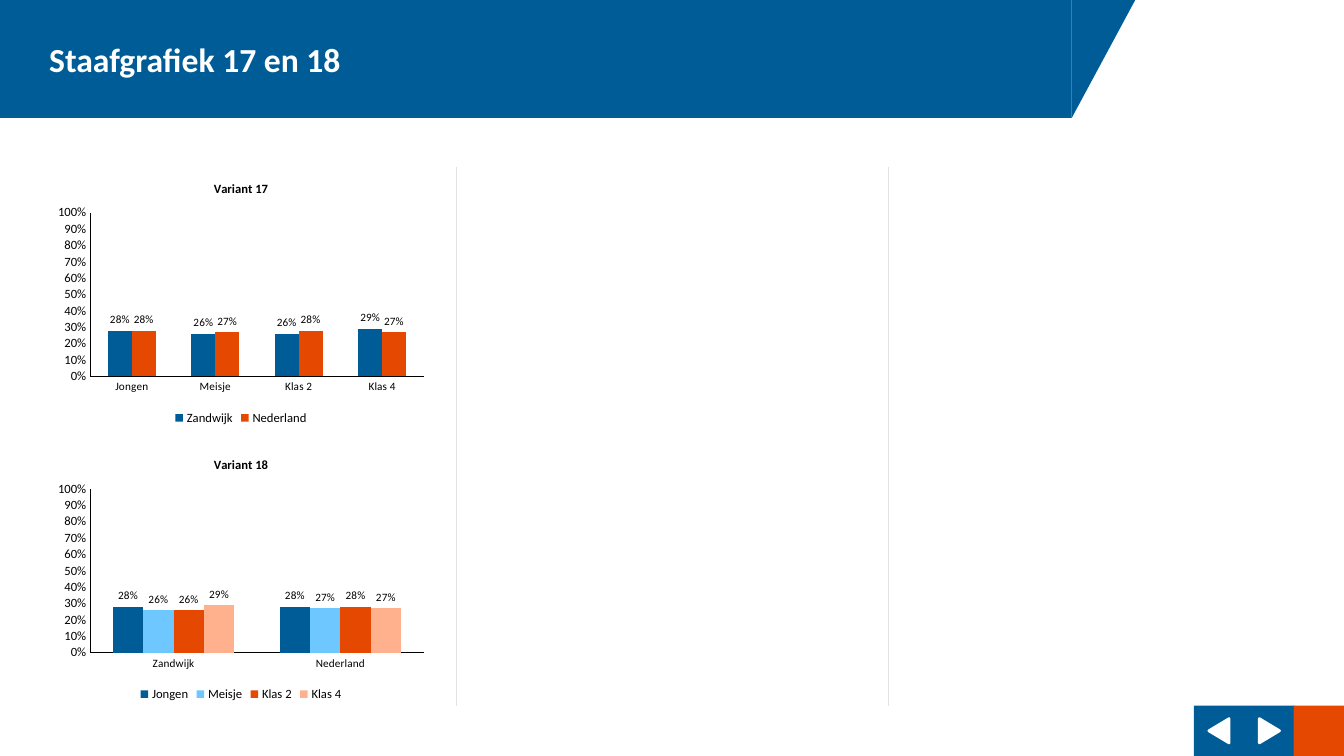
"""Build a slide with two clustered column charts under a title banner."""
from dataclasses import dataclass
from typing import Optional

from lxml.etree import SubElement
from pptx import Presentation
from pptx.chart.data import CategoryChartData
from pptx.dml.color import RGBColor as RGB
from pptx.enum.chart import XL_CHART_TYPE as ChartType
from pptx.enum.chart import XL_LABEL_POSITION as LabelPos
from pptx.enum.chart import XL_LEGEND_POSITION as LegendPos
from pptx.enum.chart import XL_TICK_MARK as Tick
from pptx.enum.shapes import MSO_CONNECTOR as Connector
from pptx.enum.shapes import MSO_SHAPE as Shape
from pptx.enum.text import MSO_ANCHOR as Anchor
from pptx.enum.text import PP_ALIGN as Align
from pptx.oxml.ns import qn
from pptx.util import Inches, Pt


@dataclass(frozen=True)
class Theme:
    """Colours, font and type sizes of the slide."""
    blue: str = "005C96"
    sky: str = "6FC7FF"
    orange: str = "E54800"
    peach: str = "FFB18E"
    white: str = "FFFFFF"
    black: str = "000000"
    rule: str = "E3E3E3"
    font: str = "Calibri"
    title: int = 24
    chart: int = 18
    body: int = 9
    small: int = 8


@dataclass(frozen=True)
class Button:
    """A navigation square with an optional arrow."""
    left: float
    color: str
    rotation: Optional[int] = None


@dataclass(frozen=True)
class Series:
    """One set of columns."""
    name: str
    values: tuple[float, ...]
    color: str


@dataclass(frozen=True)
class ColumnChart:
    """A titled column chart."""
    title: str
    top: float
    categories: tuple[str, ...]
    series: tuple[Series, ...]


T = Theme()
BANNER_WIDTH, BANNER_HEIGHT = 10.63, 1.17
CONTENT_TOP, CONTENT_BOTTOM = 1.66, 7
BUTTON_SIZE = 0.5
ARROW_WIDTH, ARROW_HEIGHT = 0.24, 0.2
DIVIDERS = (8.81, 4.53)
BUTTONS = (
    Button(11.84, T.blue, 270),
    Button(12.34, T.blue, 90),
    Button(12.83, T.orange),
)
CHARTS = (
    ColumnChart("Variant 17", CONTENT_TOP, ("Jongen", "Meisje", "Klas 2", "Klas 4"), (
        Series("Zandwijk", (0.28, 0.26, 0.26, 0.29), T.blue),
        Series("Nederland", (0.28, 0.27, 0.28, 0.27), T.orange),
    )),
    ColumnChart("Variant 18", 4.4, ("Zandwijk", "Nederland"), (
        Series("Jongen", (0.28, 0.28), T.blue),
        Series("Meisje", (0.26, 0.27), T.sky),
        Series("Klas 2", (0.26, 0.28), T.orange),
        Series("Klas 4", (0.29, 0.27), T.peach),
    )),
)


def set_font(font, size: int, color: str = T.black, bold: bool = False) -> None:
    """Apply the theme font with a size, colour and weight."""
    font.name, font.size, font.bold = T.font, Pt(size), bold
    font.color.rgb = RGB.from_string(color)


def set_line(line, color: str, width: float) -> None:
    """Give a line a solid colour and a width in points."""
    line.color.rgb = RGB.from_string(color)
    line.width = Pt(width)


def add_block(s, kind, left: float, top: float, width: float, height: float, color: str):
    """Add a filled shape without outline or shadow."""
    sp = s.shapes.add_shape(kind, Inches(left), Inches(top), Inches(width), Inches(height))
    sp.shadow.inherit = False
    sp.fill.solid()
    sp.fill.fore_color.rgb = RGB.from_string(color)
    sp.line.fill.background()
    return sp


def add_button(s, button: Button) -> None:
    """Draw a navigation square and its arrow."""
    add_block(s, Shape.RECTANGLE, button.left, CONTENT_BOTTOM, BUTTON_SIZE, BUTTON_SIZE, button.color)
    if button.rotation is not None:
        left = button.left + (BUTTON_SIZE - ARROW_WIDTH) / 2
        top = CONTENT_BOTTOM + (BUTTON_SIZE - ARROW_HEIGHT) / 2
        arrow = add_block(s, Shape.ISOSCELES_TRIANGLE, left, top, ARROW_WIDTH, ARROW_HEIGHT, T.white)
        arrow.rotation = button.rotation
        set_line(arrow.line, T.white, 2)


def add_divider(s, x: float) -> None:
    """Draw a vertical column divider."""
    line = s.shapes.add_connector(
        Connector.STRAIGHT, Inches(x), Inches(CONTENT_BOTTOM), Inches(x), Inches(CONTENT_TOP))
    set_line(line.line, T.rule, 1)
    SubElement(line._element.spPr, qn("a:effectLst"))


def add_banner(s, title: str) -> None:
    """Draw the title banner with its slanted end."""
    slant = add_block(s, Shape.RIGHT_TRIANGLE, BANNER_WIDTH, 0, 0.63, BANNER_HEIGHT, T.blue)
    slant.rotation = 180
    slant._element.spPr.find(qn("a:xfrm")).set("flipH", "1")
    banner = add_block(s, Shape.RECTANGLE, 0, 0, BANNER_WIDTH, BANNER_HEIGHT, T.blue)
    tf = banner.text_frame
    tf.vertical_anchor = Anchor.MIDDLE
    tf.text = title
    p = tf.paragraphs[0]
    p.alignment = Align.LEFT
    p._p.get_or_add_pPr().set("indent", str(Inches(0.39)))
    set_font(p.runs[0].font, T.title, T.white, True)


def style_axis(axis, size: int) -> None:
    """Give an axis a black line, no ticks and no gridlines."""
    axis.has_major_gridlines = False
    axis.major_tick_mark = axis.minor_tick_mark = Tick.NONE
    set_line(axis.format.line, T.black, 1)
    set_font(axis.tick_labels.font, size)


def add_column_chart(s, spec: ColumnChart) -> None:
    """Draw a column chart with percentage labels."""
    data = CategoryChartData(number_format="0%")
    data.categories = spec.categories
    for series in spec.series:
        data.add_series(series.name, series.values)
    chart = s.shapes.add_chart(
        ChartType.COLUMN_CLUSTERED, Inches(0.5), Inches(spec.top), Inches(3.78), Inches(2.6), data).chart
    set_font(chart.font, T.chart)
    chart.has_title = True
    tf = chart.chart_title.text_frame
    tf.text = spec.title
    set_font(tf.paragraphs[0].runs[0].font, T.body, bold=True)
    chart.has_legend = True
    chart.legend.position = LegendPos.BOTTOM
    chart.legend.include_in_layout = False
    set_font(chart.legend.font, T.body)
    style_axis(chart.category_axis, T.small)
    values = chart.value_axis
    style_axis(values, T.body)
    values.minimum_scale, values.maximum_scale, values.major_unit = 0, 1, 0.1
    values.tick_labels.number_format = "0%"
    values.tick_labels.number_format_is_linked = False
    plot = chart.plots[0]
    plot.gap_width, plot.vary_by_categories = 150, False
    for columns, series in zip(plot.series, spec.series):
        columns.format.fill.solid()
        columns.format.fill.fore_color.rgb = RGB.from_string(series.color)
        labels = columns.data_labels
        labels.show_value, labels.position = True, LabelPos.OUTSIDE_END
        labels.number_format, labels.number_format_is_linked = "0%", False
        set_font(labels.font, T.small)


def main() -> None:
    """Assemble and save the slide."""
    prs = Presentation()
    prs.slide_width, prs.slide_height = Inches(13.33), Inches(7.5)
    s = prs.slides.add_slide(prs.slide_layouts[6])
    for button in BUTTONS:
        add_button(s, button)
    for x in DIVIDERS:
        add_divider(s, x)
    add_banner(s, "Staafgrafiek 17 en 18")
    for spec in CHARTS:
        add_column_chart(s, spec)
    prs.save("out.pptx")


if __name__ == "__main__":
    main()
